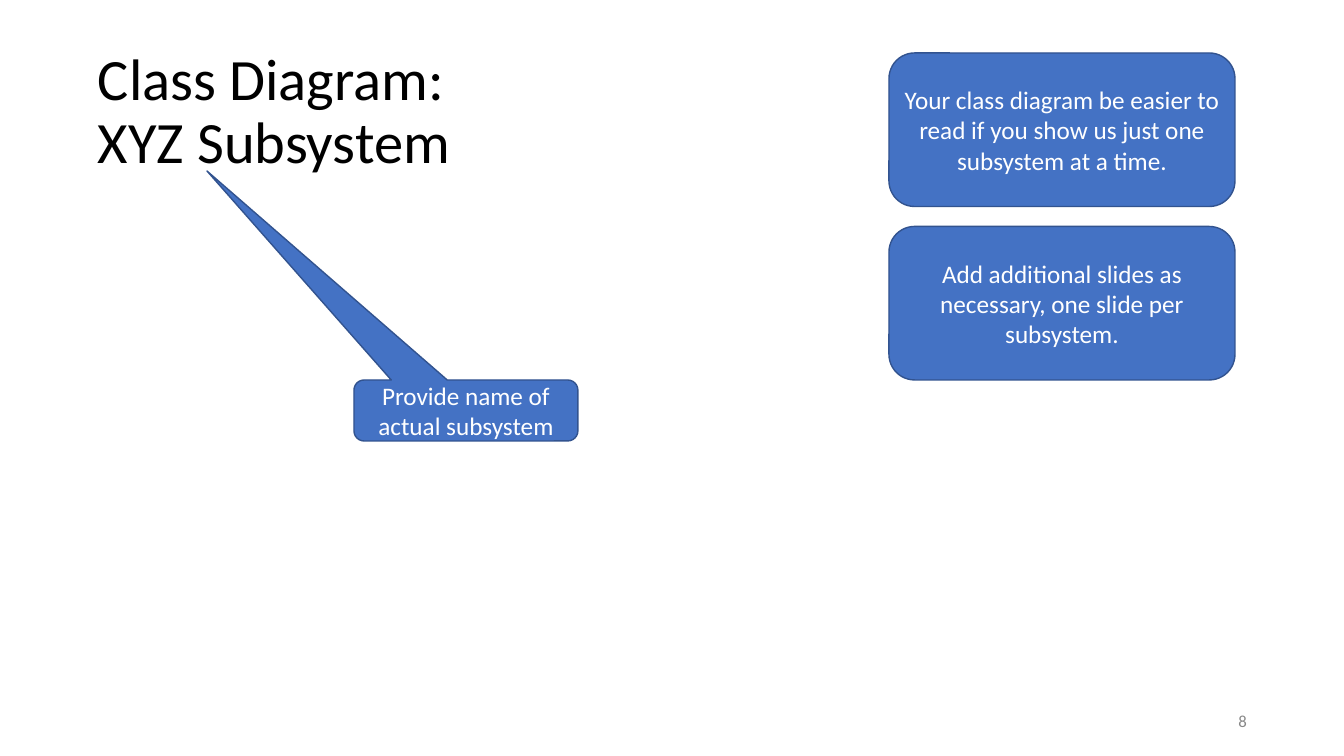
from dataclasses import dataclass

from pptx import Presentation
from pptx.dml.color import RGBColor
from pptx.enum.shapes import MSO_SHAPE
from pptx.enum.text import MSO_ANCHOR, MSO_AUTO_SIZE, PP_ALIGN
from pptx.util import Emu, Pt

PIXEL = 914400 / 100.8


@dataclass(frozen=True)
class Theme:
    font: str = "Calibri"
    title_color: str = "000000"
    number_color: str = "888888"
    note_text: str = "FFFFFF"
    note_fill: str = "4472C4"
    note_line: str = "32538F"
    title_size: float = 41.8
    note_size: float = 18
    number_size: float = 12


THEME = Theme()


def emu(pixels):
    return Emu(round(pixels * PIXEL))


def set_text(shape, text, size, color, align=PP_ALIGN.LEFT, spacing=1.0, wrap=True):
    frame = shape.text_frame
    frame.auto_size = MSO_AUTO_SIZE.NONE
    frame.word_wrap = wrap
    frame.vertical_anchor = MSO_ANCHOR.MIDDLE
    frame.margin_left = frame.margin_right = emu(5)
    frame.margin_top = frame.margin_bottom = emu(5)
    paragraph = frame.paragraphs[0]
    paragraph.text = text
    paragraph.alignment = align
    paragraph.line_spacing = spacing
    for run in paragraph.runs:
        run.font.name = THEME.font
        run.font.size = Pt(size)
        run.font.color.rgb = RGBColor.from_string(color)


def add_title(slide, box, text):
    title = slide.shapes.title
    title.left, title.top, title.width, title.height = map(emu, box)
    set_text(title, text, THEME.title_size, THEME.title_color, spacing=0.9)


def add_note(slide, box, text, preset=MSO_SHAPE.ROUNDED_RECTANGLE):
    note = slide.shapes.add_shape(preset, *map(emu, box))
    note.shadow.inherit = False
    note.fill.solid()
    note.fill.fore_color.rgb = RGBColor.from_string(THEME.note_fill)
    note.line.color.rgb = RGBColor.from_string(THEME.note_line)
    note.line.width = Pt(1)
    set_text(note, text, THEME.note_size, THEME.note_text, align=PP_ALIGN.CENTER)
    return note


def add_note_column(slide, box, texts, gap):
    left, top, width, height = box
    note_height = (height - gap * (len(texts) - 1)) / len(texts)
    for index, text in enumerate(texts):
        note_top = top + index * (note_height + gap)
        add_note(slide, (left, note_top, width, note_height), text)


def add_callout(slide, box, text, tip):
    left, top, width, height = box
    callout = add_note(slide, box, text, MSO_SHAPE.ROUNDED_RECTANGULAR_CALLOUT)
    # The tip is measured from the centre of the box, in box widths and heights
    callout.adjustments[0] = (tip[0] - left) / width - 0.5
    callout.adjustments[1] = (tip[1] - top) / height - 0.5


def add_slide_number(slide, box, number):
    number_box = slide.shapes.add_textbox(*map(emu, box))
    set_text(number_box, number, THEME.number_size, THEME.number_color,
             align=PP_ALIGN.RIGHT, wrap=False)


def build_class_diagram_slide(presentation):
    slide = presentation.slides.add_slide(presentation.slide_layouts[5])
    # Heading
    add_title(slide, (93, 40, 1159, 146), "Class Diagram:\vXYZ Subsystem")
    add_slide_number(slide, (1232, 706, 20, 29), "8")
    # Advice on the right
    add_note_column(slide, (889, 53, 346, 327), [
        "Your class diagram be easier to read if you show us just one subsystem at a time.",
        "Add additional slides as necessary, one slide per subsystem.",
    ], gap=20)
    # Callout pointing at the subsystem name
    add_callout(slide, (354, 380, 224, 61), "Provide name of actual subsystem",
                tip=(207, 171))


presentation = Presentation()
presentation.slide_width = emu(1344)
presentation.slide_height = emu(756)
build_class_diagram_slide(presentation)
presentation.save("out.pptx")
